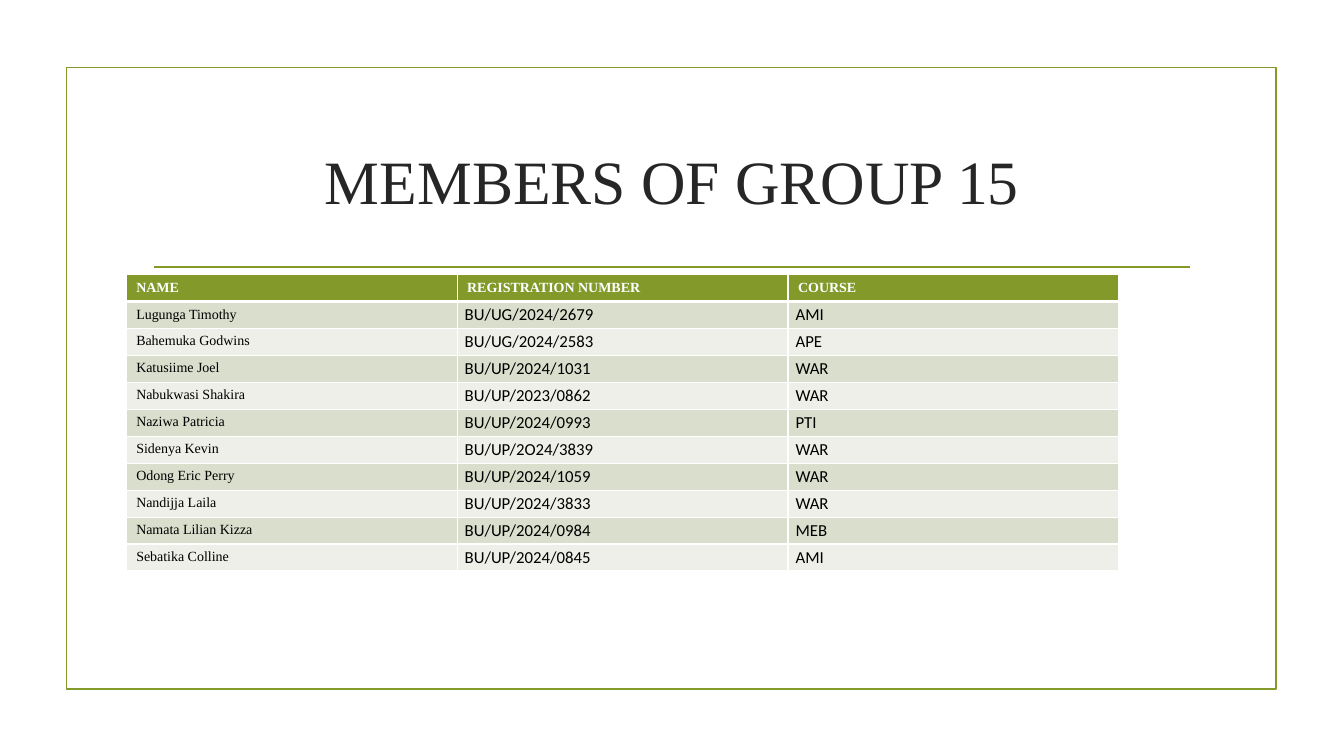
from dataclasses import dataclass

from lxml import etree
from pptx import Presentation
from pptx.dml.color import RGBColor
from pptx.enum.shapes import MSO_CONNECTOR, MSO_SHAPE
from pptx.enum.text import MSO_ANCHOR, PP_ALIGN
from pptx.oxml.ns import qn
from pptx.util import Cm, Pt

RECTANGLE = MSO_SHAPE.RECTANGLE
STRAIGHT = MSO_CONNECTOR.STRAIGHT
MIDDLE = MSO_ANCHOR.MIDDLE
CENTER = PP_ALIGN.CENTER
JUSTIFY = PP_ALIGN.JUSTIFY

COLORS = {
    "green": "83992A",
    "title": "262626",
    "white": "FFFFFF",
    "black": "000000",
    "dark_band": "D9DECD",
    "light_band": "EDEFE8",
}
SERIF = "Times New Roman"
SANS = "Calibri"


@dataclass(frozen=True)
class TextStyle:
    font: str
    size: float
    color: str
    bold: bool = False


@dataclass(frozen=True)
class Member:
    name: str
    registration: str
    course: str


TITLE_STYLE = TextStyle(SERIF, 44, "title")
HEADER_STYLE = TextStyle(SERIF, 10, "white", True)
NAME_STYLE = TextStyle(SERIF, 10, "black")
DETAIL_STYLE = TextStyle(SANS, 12, "black")

HEADINGS = ("NAME", "REGISTRATION NUMBER", "COURSE")
MEMBERS = [
    Member("Lugunga Timothy", "BU/UG/2024/2679", "AMI"),
    Member("Bahemuka Godwins", "BU/UG/2024/2583", "APE"),
    Member("Katusiime Joel", "BU/UP/2024/1031", "WAR"),
    Member("Nabukwasi Shakira", "BU/UP/2023/0862", "WAR"),
    Member("Naziwa Patricia", "BU/UP/2024/0993", "PTI"),
    Member("Sidenya Kevin", "BU/UP/2O24/3839", "WAR"),
    Member("Odong Eric Perry", "BU/UP/2024/1059", "WAR"),
    Member("Nandijja Laila", "BU/UP/2024/3833", "WAR"),
    Member("Namata Lilian Kizza", "BU/UP/2024/0984", "MEB"),
    Member("Sebatika Colline", "BU/UP/2024/0845", "AMI"),
]


def rgb(name: str) -> RGBColor:
    return RGBColor.from_string(COLORS[name])


def write(paragraph, text: str, style: TextStyle) -> None:
    paragraph.text = text
    font = paragraph.font
    font.name = style.font
    font.size = Pt(style.size)
    font.bold = style.bold
    font.color.rgb = rgb(style.color)


def set_borders(cell, bottom: float, top: float) -> None:
    """White lines around a cell; they stand before its fill."""
    properties = cell._tc.get_or_add_tcPr()
    widths = {"a:lnL": 1, "a:lnR": 1, "a:lnT": top, "a:lnB": bottom}
    for index, (tag, width) in enumerate(widths.items()):
        line = etree.Element(qn(tag), w=str(Pt(width)))
        fill = etree.SubElement(line, qn("a:solidFill"))
        etree.SubElement(fill, qn("a:srgbClr"), val=COLORS["white"])
        properties.insert(index, line)


def fill_cell(cell, text: str, style: TextStyle, fill: str) -> None:
    cell.fill.solid()
    cell.fill.fore_color.rgb = rgb(fill)
    paragraph = cell.text_frame.paragraphs[0]
    if style is DETAIL_STYLE:
        cell.margin_left = cell.margin_right = Cm(0.19)
        cell.margin_top = cell.margin_bottom = Cm(0)
        paragraph.alignment = JUSTIFY
        paragraph.line_spacing = 1.15
        paragraph.space_after = Pt(8)
    write(paragraph, text, style)


def add_frame(slide) -> None:
    frame = slide.shapes.add_shape(RECTANGLE, Cm(1.68), Cm(1.7), Cm(30.48), Cm(15.67))
    frame.shadow.inherit = False
    frame.fill.background()
    frame.line.color.rgb = rgb("green")
    frame.line.width = Pt(1.25)


def add_rule(slide) -> None:
    rule = slide.shapes.add_connector(STRAIGHT, Cm(3.89), Cm(6.73), Cm(30), Cm(6.73))
    rule.line.color.rgb = rgb("green")
    rule.line.width = Pt(1.25)
    etree.SubElement(rule._element.spPr, qn("a:effectLst"))


def add_title(slide) -> None:
    box = slide.shapes.add_textbox(Cm(3.61), Cm(2.72), Cm(26.67), Cm(3.63))
    frame = box.text_frame
    frame.word_wrap = True
    frame.vertical_anchor = MIDDLE
    paragraph = frame.paragraphs[0]
    paragraph.alignment = CENTER
    write(paragraph, "MEMBERS OF GROUP 15", TITLE_STYLE)


def add_member_table(slide) -> None:
    row_height, column_width = Cm(0.66), Cm(8.34)
    row_count, column_count = len(MEMBERS) + 1, len(HEADINGS)
    table = slide.shapes.add_table(
        row_count, column_count, Cm(3.18), Cm(6.92),
        column_width * column_count, row_height * row_count,
    ).table
    for column in table.columns:
        column.width = column_width
    for row in table.rows:
        row.height = row_height

    # Header row
    for column, heading in enumerate(HEADINGS):
        cell = table.cell(0, column)
        fill_cell(cell, heading, HEADER_STYLE, "green")
        set_borders(cell, bottom=3, top=1)

    # Banded member rows
    for row, member in enumerate(MEMBERS, start=1):
        band = "dark_band" if row % 2 else "light_band"
        values = (member.name, member.registration, member.course)
        for column, value in enumerate(values):
            cell = table.cell(row, column)
            fill_cell(cell, value, DETAIL_STYLE if column else NAME_STYLE, band)
            set_borders(cell, bottom=1, top=3 if row == 1 else 1)


def main() -> None:
    presentation = Presentation()
    presentation.slide_width = Cm(33.87)
    presentation.slide_height = Cm(19.05)
    slide = presentation.slides.add_slide(presentation.slide_layouts[6])
    add_frame(slide)
    add_rule(slide)
    add_title(slide)
    add_member_table(slide)
    presentation.save("out.pptx")


if __name__ == "__main__":
    main()
